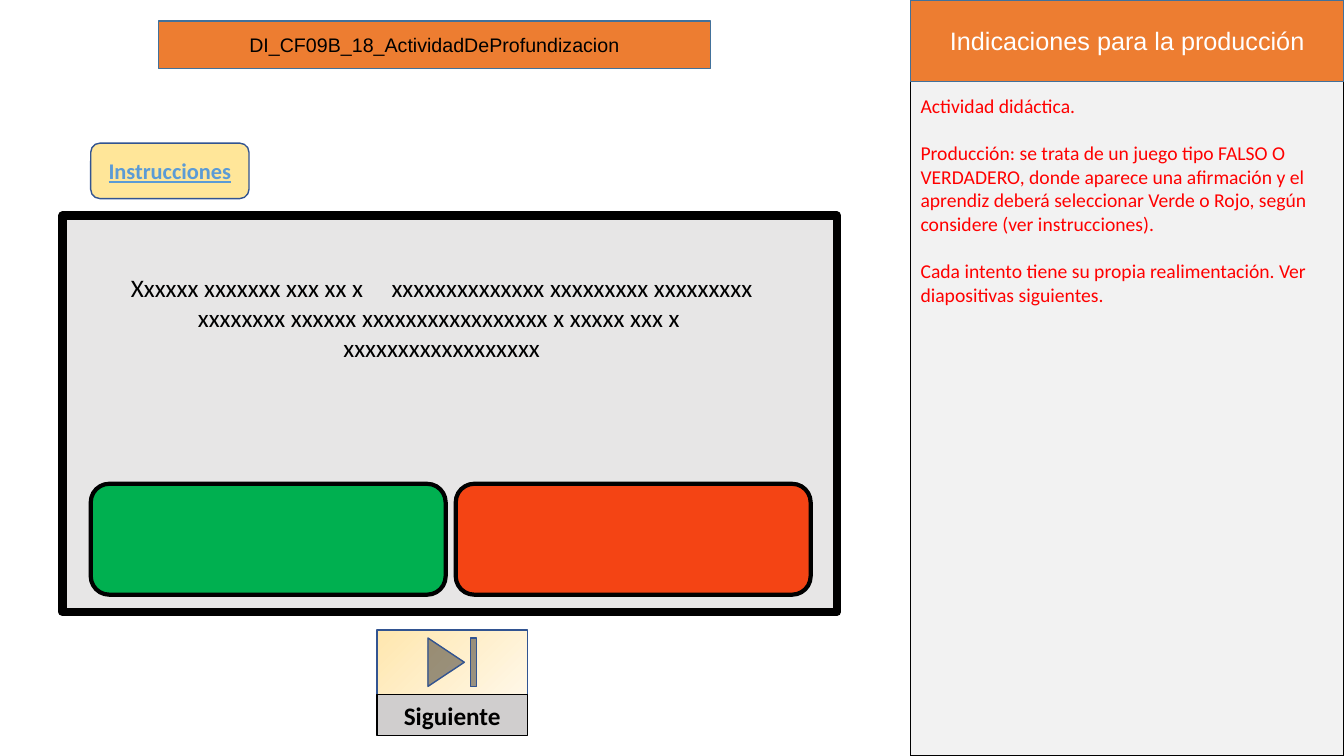
from pptx import Presentation
from pptx.dml.color import RGBColor
from pptx.enum.shapes import MSO_SHAPE
from pptx.enum.text import MSO_ANCHOR, MSO_AUTO_SIZE, PP_ALIGN
from pptx.oxml.ns import qn
from pptx.util import Inches, Pt

RECT, ROUNDED = MSO_SHAPE.RECTANGLE, MSO_SHAPE.ROUNDED_RECTANGLE
END_BUTTON = MSO_SHAPE.ACTION_BUTTON_END
TOP, MIDDLE = MSO_ANCHOR.TOP, MSO_ANCHOR.MIDDLE
LEFT, CENTER = PP_ALIGN.LEFT, PP_ALIGN.CENTER

BLACK = RGBColor(0x00, 0x00, 0x00)
WHITE = RGBColor(0xFF, 0xFF, 0xFF)
RED = RGBColor(0xFF, 0x00, 0x00)
ORANGE = RGBColor(0xED, 0x7D, 0x31)
STEEL = RGBColor(0x42, 0x71, 0x9B)
NAVY = RGBColor(0x32, 0x54, 0x91)
SKY = RGBColor(0x5B, 0x9B, 0xD5)
SIDEBAR_GREY = RGBColor(0xF2, 0xF2, 0xF2)
BOARD_GREY = RGBColor(0xE7, 0xE6, 0xE6)
LABEL_GREY = RGBColor(0xD0, 0xCE, 0xCE)
YELLOW = RGBColor(0xFF, 0xE6, 0x99)
GREEN = RGBColor(0x00, 0xB0, 0x50)
VERMILION = RGBColor(0xF4, 0x44, 0x14)
CREAM_DARK = RGBColor(0xFF, 0xE7, 0xAF)
CREAM_LIGHT = RGBColor(0xFF, 0xF7, 0xE7)

SLIDE_W, SLIDE_H = 13.33, 7.5
SIDEBAR_X = 9.03
SIDEBAR_W = SLIDE_W - SIDEBAR_X
CONTENT_X = 0.9
ANSWER_W, ANSWER_GAP = 3.52, 0.1
NEXT_X, NEXT_Y, NEXT_W, NEXT_ICON_H = 3.74, 6.25, 1.49, 0.64

prs = Presentation()
prs.slide_width, prs.slide_height = Inches(SLIDE_W), Inches(SLIDE_H)
slide = prs.slides.add_slide(prs.slide_layouts[1])
activity_title, directions = slide.placeholders


def add_block(kind, box, fill, line, line_width=1):
    block = slide.shapes.add_shape(kind, *map(Inches, box))
    block.shadow.inherit = False
    block.fill.solid()
    block.fill.fore_color.rgb = fill
    block.line.color.rgb = line
    block.line.width = Pt(line_width)
    return block


def write(shape, text, size, color, font="Calibri", align=CENTER, anchor=MIDDLE, bold=False):
    """Set the text of a shape, one paragraph per line, and format its runs."""
    frame = shape.text_frame
    frame.text = text
    frame.word_wrap = True
    frame.auto_size = MSO_AUTO_SIZE.NONE
    frame.vertical_anchor = anchor
    for paragraph in frame.paragraphs:
        paragraph.alignment = align
        paragraph.space_before = Pt(0)
        for run in paragraph.runs:
            run.font.name, run.font.size = font, Pt(size)
            run.font.bold = bold
            run.font.color.rgb = color


# Production sidebar
add_block(RECT, (SIDEBAR_X, 0, SIDEBAR_W, SLIDE_H), SIDEBAR_GREY, BLACK)
sidebar_header = add_block(RECT, (SIDEBAR_X, 0, SIDEBAR_W, 0.81), ORANGE, STEEL)
write(sidebar_header, "Indicaciones para la producción", 18, WHITE, "Arial")

directions.left, directions.top = Inches(SIDEBAR_X), Inches(0.88)
directions.width, directions.height = Inches(SIDEBAR_W), Inches(2.22)
write(directions, "\n".join([
    "Actividad didáctica.",
    "Producción: se trata de un juego tipo FALSO O VERDADERO, donde aparece una "
    "afirmación y el aprendiz deberá seleccionar Verde o Rojo, según considere "
    "(ver instrucciones).",
    "Cada intento tiene su propia realimentación. Ver diapositivas siguientes.",
]), 14, RED, align=LEFT, anchor=TOP)
for index, paragraph in enumerate(directions.text_frame.paragraphs):
    paragraph.space_before = Pt(17 if index else 0)
    properties = paragraph._p.get_or_add_pPr()
    properties.set("marL", "0")
    properties.set("indent", "0")
    properties.append(properties.makeelement(qn("a:buNone")))
# Bring the directions in front of the sidebar panel
slide.shapes._spTree.append(directions._element)

# Activity title
activity_title.left, activity_title.top = Inches(1.57), Inches(0.21)
activity_title.width, activity_title.height = Inches(5.48), Inches(0.47)
activity_title.fill.solid()
activity_title.fill.fore_color.rgb = ORANGE
activity_title.line.color.rgb = STEEL
activity_title.line.width = Pt(1)
write(activity_title, "DI_CF09B_18_ActividadDeProfundizacion", 14, BLACK, "Arial")

# Instructions button
instructions = add_block(ROUNDED, (CONTENT_X, 1.42, 1.57, 0.55), YELLOW, NAVY)
write(instructions, "Instrucciones", 16, SKY, bold=True)
instructions.text_frame.paragraphs[0].runs[0].font.underline = True

# Question board with its two answers
add_block(RECT, (0.62, 2.14, 7.68, 3.93), BOARD_GREY, BLACK, 6)
for column, answer_color in enumerate((GREEN, VERMILION)):
    answer_x = CONTENT_X + column * (ANSWER_W + ANSWER_GAP)
    add_block(ROUNDED, (answer_x, 4.8, ANSWER_W, 1.1), answer_color, BLACK, 3)

statement = slide.shapes.add_textbox(*map(Inches, (1.14, 2.65, 6.48, 1.01)))
write(statement,
      "Xxxxxx xxxxxxx xxx xx x     xxxxxxxxxxxxxx xxxxxxxxx xxxxxxxxx xxxxxxxx "
      "xxxxxx xxxxxxxxxxxxxxxxx x xxxxx xxx x  xxxxxxxxxxxxxxxxxx",
      18, BLACK, anchor=TOP)

# Next button
next_icon = add_block(END_BUTTON, (NEXT_X, NEXT_Y, NEXT_W, NEXT_ICON_H), CREAM_DARK, NAVY)
next_icon.fill.gradient()
next_icon.fill.gradient_angle = 315
for stop, stop_color in zip(next_icon.fill.gradient_stops, (CREAM_DARK, CREAM_LIGHT)):
    stop.color.rgb = stop_color
next_label = add_block(RECT, (NEXT_X, NEXT_Y + NEXT_ICON_H, NEXT_W, 0.41), LABEL_GREY, BLACK)
write(next_label, "Siguiente", 18, BLACK, bold=True)

prs.save("out.pptx")
